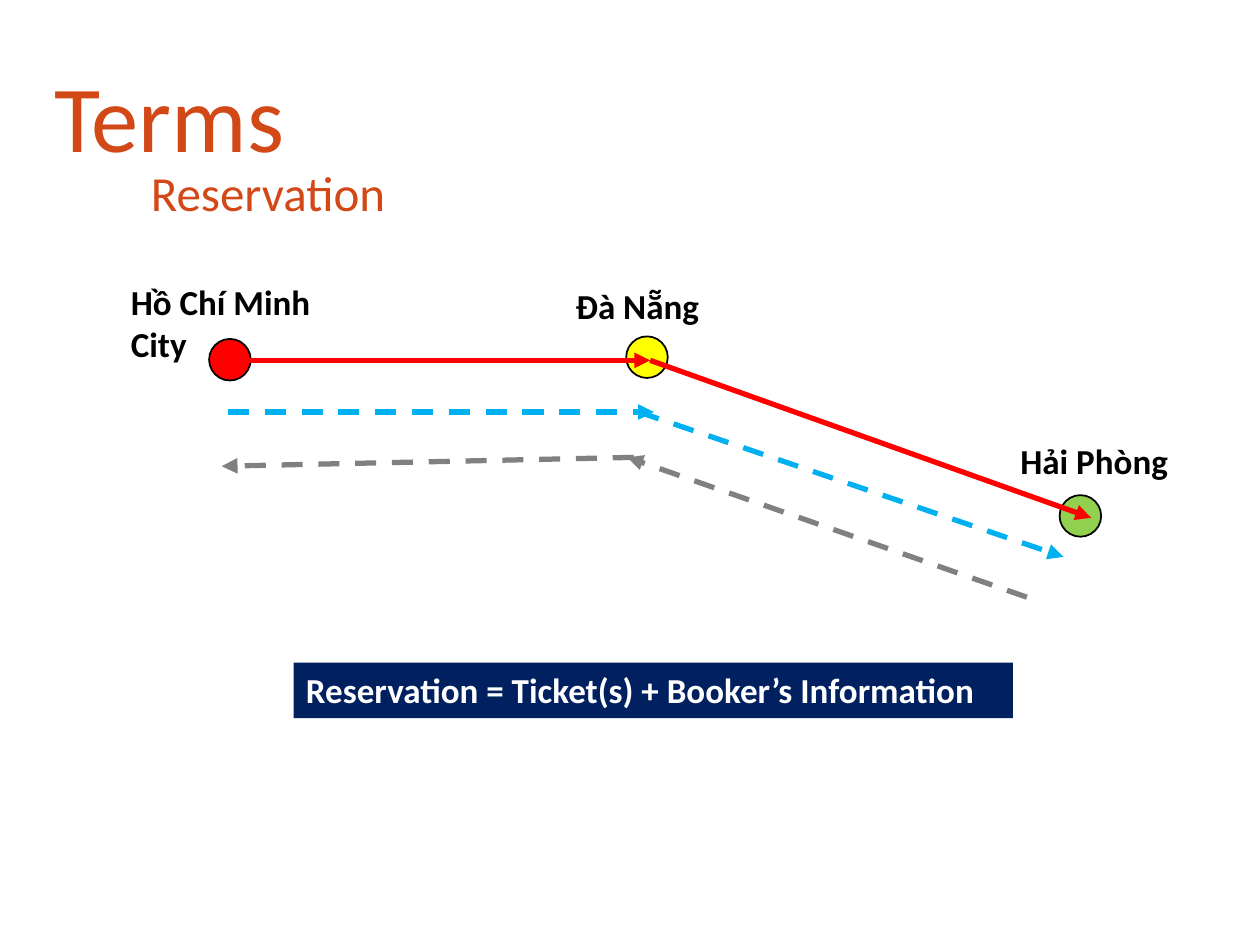
from lxml import etree
from pptx import Presentation
from pptx.dml.color import RGBColor
from pptx.enum import dml, shapes, text
from pptx.oxml.ns import qn
from pptx.util import Inches, Pt

COLORS = {
    "title": "D34817", "navy": "002060", "white": "FFFFFF", "black": "000000",
    "red": "FF0000", "green": "92D050", "yellow": "FFFF00",
    "blue": "00B0F0", "gray": "808080",
}
HEADING = {"name": "Calibri", "size": Pt(54), "bold": False}
SUBHEADING = {**HEADING, "size": Pt(28)}
LABEL = {**HEADING, "size": Pt(20), "bold": True}


def rgb(name):
    return RGBColor.from_string(COLORS[name])


def write(sp, content, font, color, anchor=text.MSO_ANCHOR.TOP):
    tf = sp.text_frame
    tf.word_wrap = True
    tf.auto_size = text.MSO_AUTO_SIZE.NONE
    tf.vertical_anchor = anchor
    p = tf.paragraphs[0]
    p.alignment = text.PP_ALIGN.LEFT
    r = p.add_run()
    r.text = content
    for key, value in font.items():
        setattr(r.font, key, value)
    r.font.color.rgb = rgb(color)
    return p


prs = Presentation()
prs.slide_width, prs.slide_height = Inches(10), Inches(7.5)
s = prs.slides.add_slide(prs.slide_layouts[0])
subtitle = s.placeholders[1].element
subtitle.getparent().remove(subtitle)

# Title and subheading
title = s.shapes.title
title.left, title.top, title.width, title.height = map(Inches, (0.33, 0.5, 5.17, 0.92))
p = write(title, "Terms", HEADING, "title", text.MSO_ANCHOR.BOTTOM)
p.line_spacing = 0.9
sp = s.shapes.add_textbox(*map(Inches, (1.1, 1.24, 5.23, 0.57)))
write(sp, "Reservation", SUBHEADING, "title")

# Definition banner
banner = s.shapes.add_shape(shapes.MSO_SHAPE.RECTANGLE, *map(Inches, (2.33, 5.26, 5.71, 0.44)))
banner.shadow.inherit = False
banner.fill.solid()
banner.fill.fore_color.rgb = rgb("navy")
banner.line.fill.background()
write(banner, "Reservation = Ticket(s) + Booker’s Information", LABEL, "white")

# City markers
for x, y, color in [(1.66, 2.69, "red"), (8.41, 3.93, "green"), (4.97, 2.67, "yellow")]:
    city = s.shapes.add_shape(shapes.MSO_SHAPE.OVAL, *map(Inches, (x, y, 0.33, 0.33)))
    city.shadow.inherit = False
    city.fill.solid()
    city.fill.fore_color.rgb = rgb(color)
    city.line.color.rgb = rgb("black")
    city.line.width = Pt(1)

# City names
for name, box in [
    ("Hồ Chí Minh City", (0.94, 2.18, 1.76, 0.77)),
    ("Đà Nẵng", (4.47, 2.21, 1.19, 0.44)),
    ("Hải Phòng", (8, 3.44, 2, 0.44)),
]:
    write(s.shapes.add_textbox(*map(Inches, box)), name, LABEL, "black")

# Route legs: full route, outbound tickets, return tickets
for ends, color, dashed in [
    ((1.83, 2.86, 5.16, 2.86), "red", False),
    ((5.16, 2.86, 8.66, 4.11), "red", False),
    ((1.81, 3.27, 5.19, 3.27), "blue", True),
    ((5.07, 3.27, 8.44, 4.42), "blue", True),
    ((8.15, 4.74, 4.98, 3.63), "gray", True),
    ((5.03, 3.63, 1.76, 3.7), "gray", True),
]:
    leg = s.shapes.add_connector(shapes.MSO_CONNECTOR.STRAIGHT, *map(Inches, ends))
    leg.line.color.rgb = rgb(color)
    leg.line.width = Pt(3)
    if dashed:
        leg.line.dash_style = dml.MSO_LINE.DASH
    spPr = leg.element.spPr
    etree.SubElement(spPr.find(qn("a:ln")), qn("a:tailEnd"), type="triangle")
    etree.SubElement(spPr, qn("a:effectLst"))

prs.save("out.pptx")
